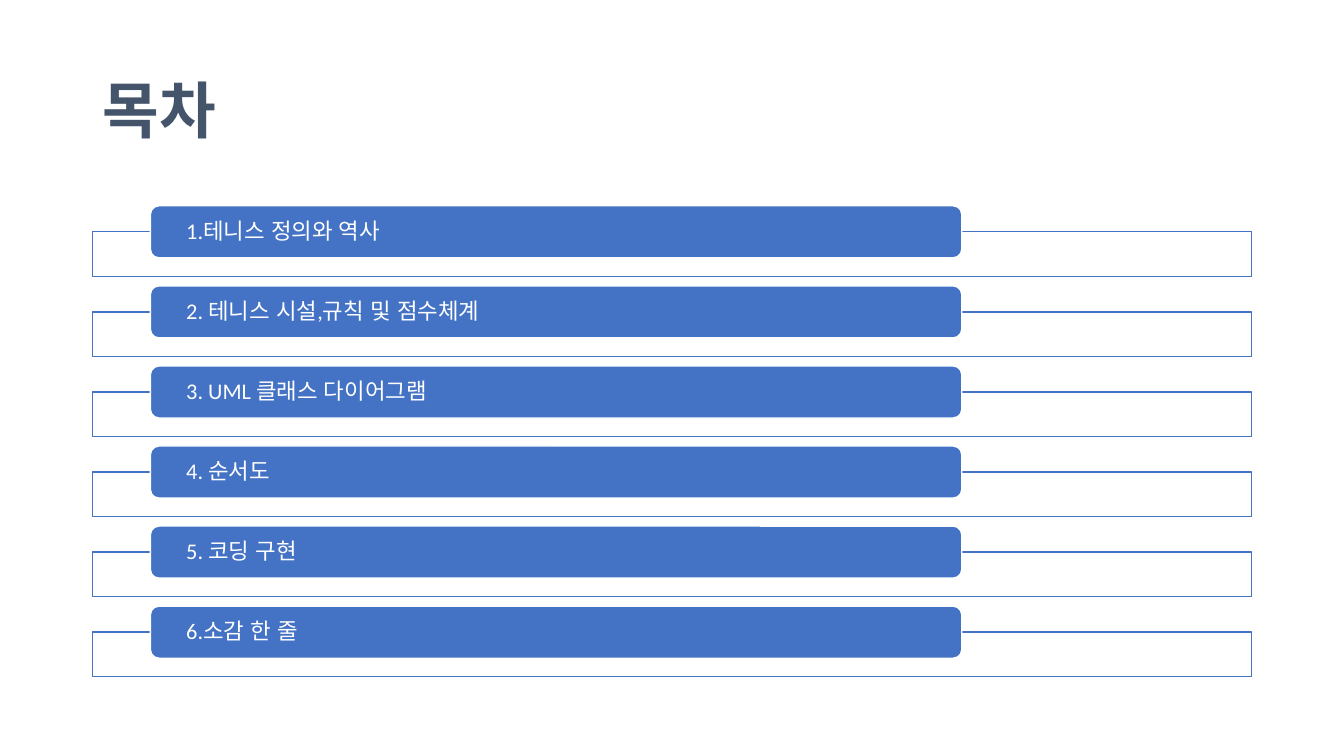
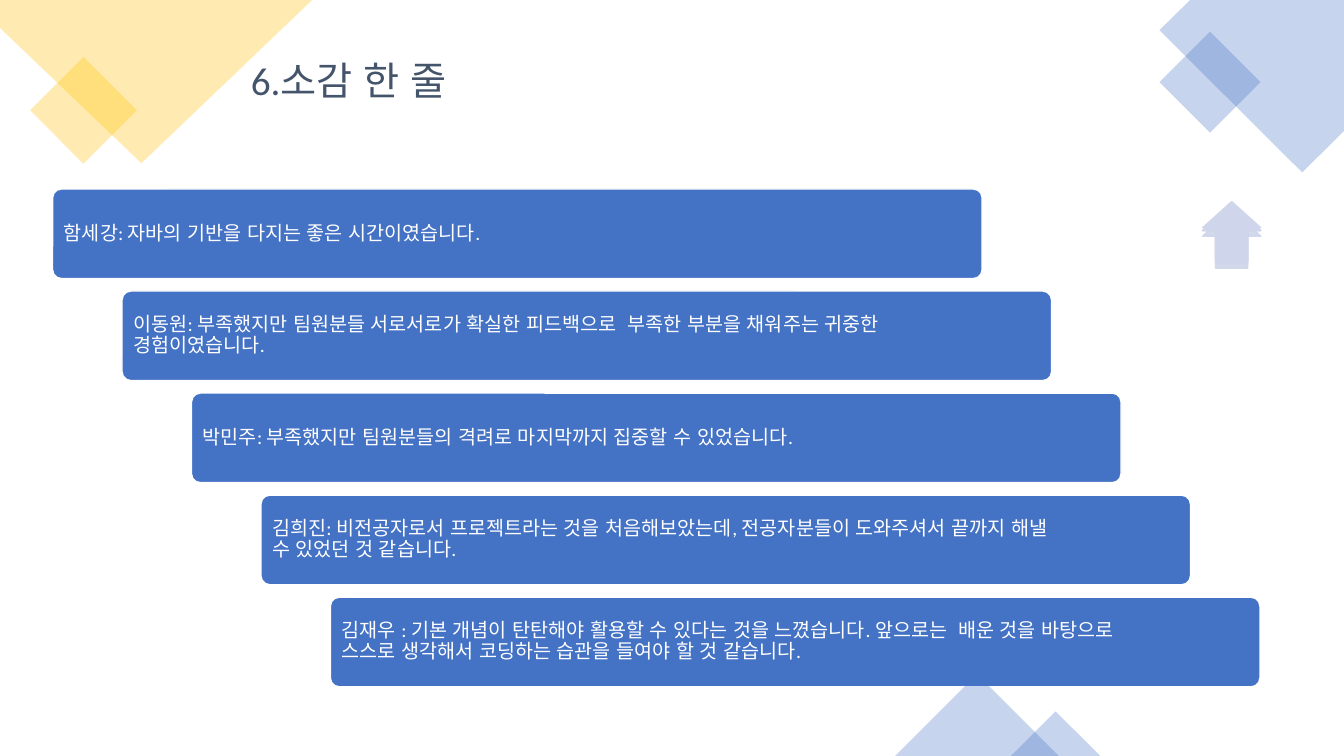
from lxml import etree
from pptx import Presentation
from pptx.dml.color import RGBColor
from pptx.enum.lang import MSO_LANGUAGE_ID
from pptx.enum.shapes import MSO_SHAPE
from pptx.enum.text import MSO_ANCHOR, MSO_AUTO_SIZE, PP_ALIGN
from pptx.oxml.ns import qn
from pptx.util import Pt

RECT = MSO_SHAPE.RECTANGLE
ROUND = MSO_SHAPE.ROUNDED_RECTANGLE
TRIANGLE = MSO_SHAPE.ISOSCELES_TRIANGLE
ARROW = MSO_SHAPE.UP_ARROW
MIDDLE = MSO_ANCHOR.MIDDLE
LEFT = PP_ALIGN.LEFT
NO_FIT = MSO_AUTO_SIZE.NONE
KOREAN = MSO_LANGUAGE_ID.KOREAN

FONT = "Calibri"
BLUE, YELLOW, NAVY, WHITE, PALE = "4472C4", "FFC000", "44546A", "FFFFFF", "CFD5EA"


def paint(sp, fill, line=None, opacity=100):
    sp.shadow.inherit = False
    sp.fill.solid()
    sp.fill.fore_color.rgb = RGBColor.from_string(fill)
    if line:
        sp.line.color.rgb = RGBColor.from_string(line)
        sp.line.width = Pt(1)
    else:
        sp.line.fill.background()
    if opacity < 100:
        for clr in sp._element.spPr.iter(qn("a:srgbClr")):
            etree.SubElement(clr, qn("a:alpha"), val=str(opacity * 1000))


def write(sp, text, size, color, left, right, bold=False):
    tf = sp.text_frame
    tf.text = text
    tf.word_wrap = True
    tf.auto_size = NO_FIT
    tf.vertical_anchor = MIDDLE
    tf.margin_left, tf.margin_right = Pt(left), Pt(right)
    tf.margin_top = tf.margin_bottom = Pt(3.6)
    p = tf.paragraphs[0]
    p.alignment = LEFT
    p.line_spacing = 0.9
    for r in p.runs:
        r.font.name = FONT
        r.font.size = Pt(size)
        r.font.bold = bold
        r.font.language_id = KOREAN
        r.font.color.rgb = RGBColor.from_string(color)


prs = Presentation()
prs.slide_width, prs.slide_height = Pt(960), Pt(540)

titles = [
    ("목차", 44, True, (66, 29, 828, 104)),
    ("6.소감 한 줄", 28, False, (172, 39, 372, 41)),
]
for text, size, bold, box in titles:
    s = prs.slides.add_slide(prs.slide_layouts[5])
    title = s.shapes.title
    title.left, title.top, title.width, title.height = map(Pt, box)
    write(title, text, size, NAVY, 7.2, 7.2, bold)
contents, remarks = prs.slides

topics = [
    "1.테니스 정의와 역사",
    "2. 테니스 시설,규칙 및 점수체계",
    "3. UML 클래스 다이어그램",
    "4. 순서도",
    "5. 코딩 구현",
    "6.소감 한 줄",
]
for i, topic in enumerate(topics):
    top = 147 + 57.2 * i
    frame = contents.shapes.add_shape(RECT, Pt(66), Pt(top + 18.6), Pt(828), Pt(31.8))
    paint(frame, WHITE, BLUE)
    pill = contents.shapes.add_shape(ROUND, Pt(107.4), Pt(top), Pt(579.6), Pt(37.2))
    paint(pill, BLUE, WHITE)
    write(pill, topic, 16, WHITE, 23.8, 23.8)

quotes = [
    "함세강: 자바의 기반을 다지는 좋은 시간이였습니다.",
    "이동원: 부족했지만 팀원분들 서로서로가 확실한 피드백으로  부족한 부분을 채워주는 귀중한 경험이였습니다.",
    "박민주: 부족했지만 팀원분들의 격려로 마지막까지 집중할 수 있었습니다.",
    "김희진: 비전공자로서 프로젝트라는 것을 처음해보았는데, 전공자분들이 도와주셔서 끝까지 해낼 수 있었던 것 같습니다.",
    "김재우 : 기본 개념이 탄탄해야 활용할 수 있다는 것을 느꼈습니다. 앞으로는  배운 것을 바탕으로 스스로 생각해서 코딩하는 습관을 들여야 할 것 같습니다.",
]
for i, quote in enumerate(quotes):
    step = remarks.shapes.add_shape(
        ROUND, Pt(37.6 + 49.6 * i), Pt(135 + 72.9 * i), Pt(664), Pt(64))
    step.adjustments[0] = 0.1
    paint(step, BLUE, WHITE)
    write(step, quote, 14, WHITE, 6.2, 96.5)

for top in (146, 144, 146, 150):
    arrow = remarks.shapes.add_shape(ARROW, Pt(859), Pt(top), Pt(41.6), Pt(41.6))
    arrow.adjustments[0], arrow.adjustments[1] = 0.55, 0.45
    paint(arrow, PALE, PALE, 90)

corners = [
    (YELLOW, [(0, 0), (223, 0), (101, 116.6), (0, 20)]),
    (BLUE, [(850.2, 0), (960, 0), (960, 93.6), (930.2, 123.2), (828.2, 21.6)]),
]
for color, points in corners:
    start, *rest = [(Pt(x), Pt(y)) for x, y in points]
    builder = remarks.shapes.build_freeform(*start)
    builder.add_line_segments(rest)
    paint(builder.convert_to_shape(), color, opacity=30)

ornaments = [
    (RECT, 45, YELLOW, 32.6, 51.8, 54, 54),
    (RECT, 45, BLUE, 838.8, 33.2, 51, 51),
    (TRIANGLE, 0, BLUE, 639.4, 481.6, 117, 58.4),
    (TRIANGLE, 0, BLUE, 722, 508.2, 64, 31.8),
]
for kind, angle, color, *box in ornaments:
    sp = remarks.shapes.add_shape(kind, *map(Pt, box))
    sp.rotation = angle
    paint(sp, color, opacity=30)

prs.save("out.pptx")
